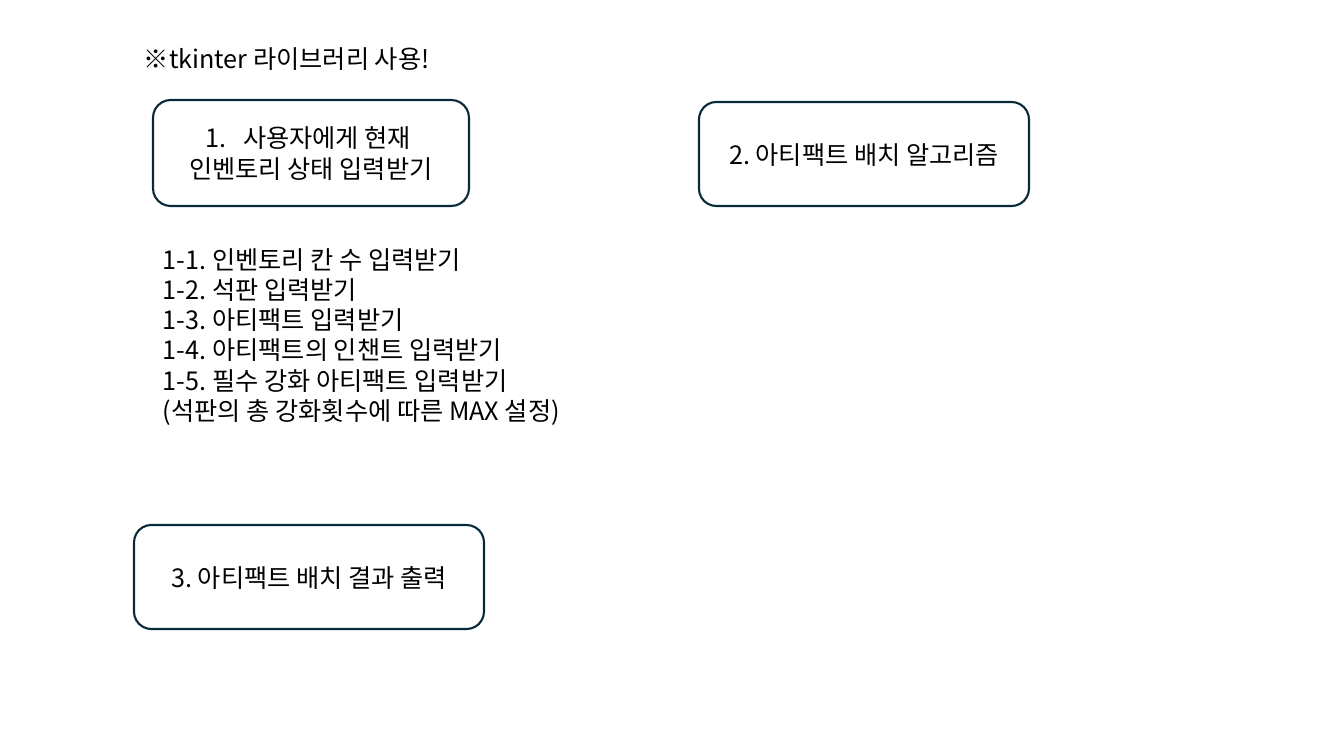
from lxml import etree
from pptx import Presentation
from pptx.dml.color import RGBColor
from pptx.enum.shapes import MSO_SHAPE
from pptx.enum.text import MSO_ANCHOR, MSO_AUTO_SIZE, PP_ALIGN
from pptx.oxml.ns import qn
from pptx.util import Pt

ROUNDED = MSO_SHAPE.ROUNDED_RECTANGLE
MIDDLE = MSO_ANCHOR.MIDDLE
GROW = MSO_AUTO_SIZE.SHAPE_TO_FIT_TEXT
LEFT, CENTER = PP_ALIGN.LEFT, PP_ALIGN.CENTER

PX = 914400 / 100.8
FONT = "Noto Sans CJK KR"
BLACK = RGBColor(0x00, 0x00, 0x00)
WHITE = RGBColor(0xFF, 0xFF, 0xFF)
NAVY = RGBColor(0x09, 0x2A, 0x39)
NUMBER_INDENT = 38

# Each area is left, top, width, height in px.
NOTE = ((134, 38, 324, 40), ["※tkinter 라이브러리 사용!"])
INPUT_STEPS = ((153, 239, 475, 194), [
    "1-1. 인벤토리 칸 수 입력받기",
    "1-2. 석판 입력받기",
    "1-3. 아티팩트 입력받기",
    "1-4. 아티팩트의 인챈트 입력받기",
    "1-5. 필수 강화 아티팩트 입력받기",
    "(석판의 총 강화횟수에 따른 MAX 설정)",
])
INPUT_STAGE = ((153, 100, 316, 106), ["사용자에게 현재 ", "인벤토리 상태 입력받기"])
LAYOUT_STAGE = ((699, 102, 330, 104), ["2. 아티팩트 배치 알고리즘"])
RESULT_STAGE = ((134, 525, 350, 104), ["3. 아티팩트 배치 결과 출력"])


def emu(*lengths):
    return [round(length * PX) for length in lengths]


def write(frame, lines, align=LEFT, size=18, color=BLACK):
    for index, line in enumerate(lines):
        para = frame.paragraphs[0] if index == 0 else frame.add_paragraph()
        para.alignment = align
        span = para.add_run()
        span.text = line
        span.font.size = Pt(size)
        span.font.color.rgb = color
        span.font.name = FONT
        east_asian = etree.SubElement(span.font._element, qn("a:ea"))
        east_asian.set("typeface", FONT)


def number(para):
    """Give the paragraph an automatic number with a hanging indent."""
    indent, = emu(NUMBER_INDENT)
    props = para._p.get_or_add_pPr()
    props.set("marL", str(indent))
    props.set("indent", str(-indent))
    etree.SubElement(props, qn("a:buAutoNum")).set("type", "arabicPeriod")


def add_text(page, area, lines, wrap=True):
    frame = page.shapes.add_textbox(*emu(*area)).text_frame
    frame.word_wrap = wrap
    frame.auto_size = GROW
    write(frame, lines)


def add_stage(page, area, lines):
    box = page.shapes.add_shape(ROUNDED, *emu(*area))
    box.shadow.inherit = False
    box.fill.solid()
    box.fill.fore_color.rgb = WHITE
    box.line.color.rgb = NAVY
    box.line.width = Pt(1.5)
    box.text_frame.word_wrap = True
    box.text_frame.vertical_anchor = MIDDLE
    write(box.text_frame, lines, align=CENTER)
    return box


def main():
    deck = Presentation()
    deck.slide_width, deck.slide_height = emu(1344, 756)
    page = deck.slides.add_slide(deck.slide_layouts[6])

    add_text(page, *NOTE, wrap=False)
    input_box = add_stage(page, *INPUT_STAGE)
    number(input_box.text_frame.paragraphs[0])
    add_text(page, *INPUT_STEPS)
    for stage in (LAYOUT_STAGE, RESULT_STAGE):
        add_stage(page, *stage)

    deck.save("out.pptx")


if __name__ == "__main__":
    main()
